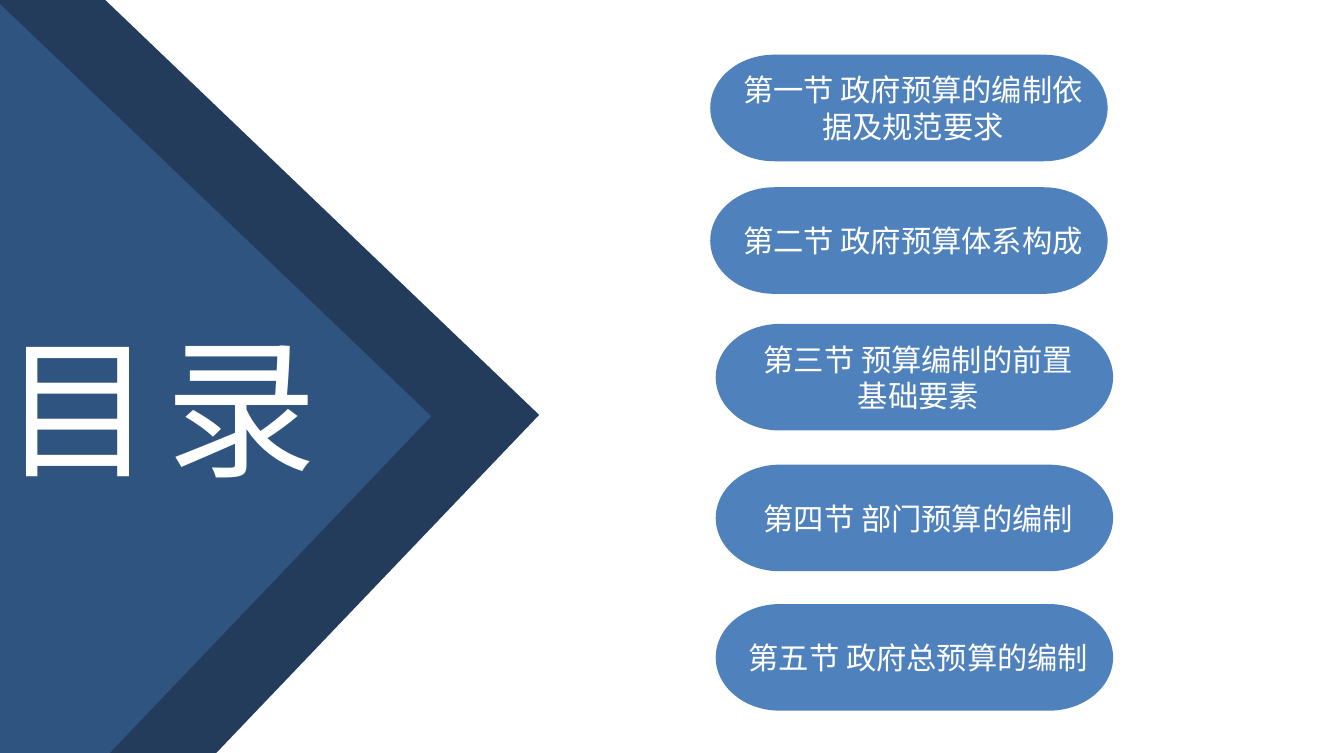
from lxml.etree import SubElement
from pptx import Presentation
from pptx.dml.color import RGBColor
from pptx.enum.shapes import MSO_SHAPE
from pptx.enum.text import MSO_ANCHOR, MSO_AUTO_SIZE, PP_ALIGN
from pptx.oxml.ns import qn
from pptx.util import Pt

EMU_PER_PX = 9144  # 100 px to the inch
FONT = "Noto Sans CJK SC"
WHITE, NAVY, BLUE, PILL_BLUE = "FFFFFF", "233C5B", "305480", "4F81BD"
TITLE_ONLY = 5

SECTIONS = [  # left, top, text
    (520, 40, "第一节 政府预算的编制依据及规范要求"),
    (520, 137, "第二节 政府预算体系构成"),
    (524, 237, "第三节 预算编制的前置\v基础要素"),
    (524, 340, "第四节 部门预算的编制"),
    (524, 442, "第五节 政府总预算的编制"),
]


def px(*lengths):
    return [length * EMU_PER_PX for length in lengths]


def color(hex_string):
    return RGBColor.from_string(hex_string)


def add_filled_shape(slide, kind, box, fill):
    shape = slide.shapes.add_shape(kind, *px(*box))
    shape.shadow.inherit = False
    shape.fill.solid()
    shape.fill.fore_color.rgb = color(fill)
    shape.line.fill.background()
    return shape


def write_text(shape, text, size, alignment, margins, spacing=0):
    frame = shape.text_frame
    frame.text = text
    frame.word_wrap = True
    frame.auto_size = MSO_AUTO_SIZE.NONE
    frame.vertical_anchor = MSO_ANCHOR.MIDDLE
    (frame.margin_left, frame.margin_top,
     frame.margin_right, frame.margin_bottom) = px(*margins)
    paragraph = frame.paragraphs[0]
    paragraph.alignment = alignment
    for run in paragraph.runs:
        run.font.size = Pt(size)
        run.font.name = FONT
        run.font.color.rgb = color(WHITE)
        properties = run.font._element
        SubElement(properties, qn("a:ea")).set("typeface", FONT)
        if spacing:
            properties.set("spc", str(spacing * 100))


def add_diamond(slide, left, top, fill):
    """Add a large turned square whose right corner points into the slide."""
    square = add_filled_shape(slide, MSO_SHAPE.RECTANGLE, (left, top, 772, 772), fill)
    square.rotation = 43.7


def add_section(slide, left, top, text):
    pill = add_filled_shape(
        slide, MSO_SHAPE.FLOWCHART_TERMINATOR, (left, top, 291, 78), PILL_BLUE)
    write_text(pill, text, 16, PP_ALIGN.CENTER, (6, 0, 0, 0))


def place_title(slide, text):
    title = slide.shapes.title
    title.left, title.top, title.width, title.height = px(-5, 225, 317, 142)
    write_text(title, text, 80, PP_ALIGN.LEFT, (7, 4, 7, 4), spacing=6)
    title.element.getparent().append(title.element)  # bring to front


def main():
    presentation = Presentation()
    presentation.slide_width, presentation.slide_height = px(984, 551)
    slide = presentation.slides.add_slide(presentation.slide_layouts[TITLE_ONLY])
    add_diamond(slide, -537, -70, NAVY)
    add_diamond(slide, -616, -69, BLUE)
    for left, top, text in SECTIONS:
        add_section(slide, left, top, text)
    place_title(slide, "目录")
    presentation.save("out.pptx")


if __name__ == "__main__":
    main()
